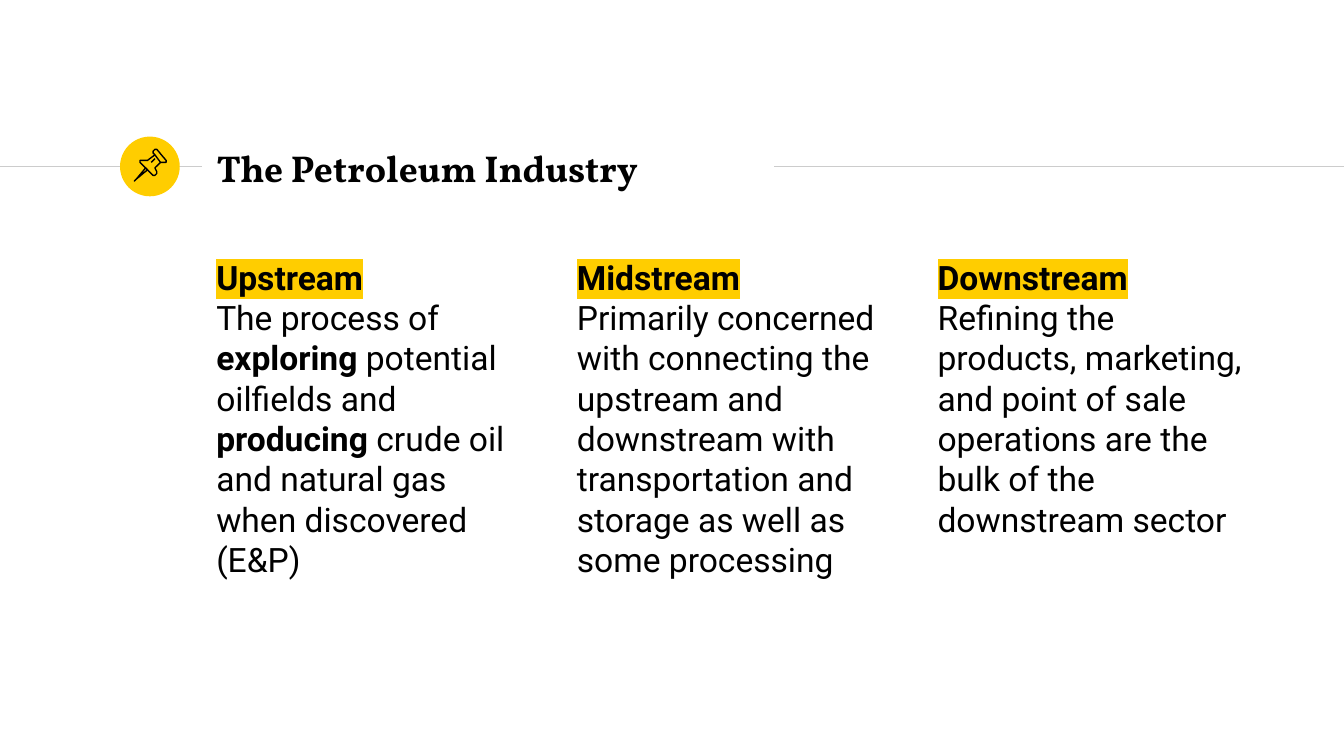
"""Build a slide on the three sectors of the petroleum industry."""
from lxml.etree import SubElement
from pptx import Presentation
from pptx.dml.color import RGBColor
from pptx.enum.shapes import MSO_CONNECTOR as Connector, MSO_SHAPE as Shape
from pptx.enum.text import MSO_ANCHOR as Anchor
from pptx.oxml.ns import qn
from pptx.util import Pt

YELLOW, BLACK, GRAY = "FFCD00", "000000", "CCCCCC"


def color(value):
    return RGBColor.from_string(value)


def add_text(paragraph, text, size=18, font="Roboto", bold=False, highlight=None):
    run = paragraph.add_run()
    run.text = text
    run.font.size = Pt(size)
    run.font.bold = bold
    run.font.color.rgb = color(BLACK)
    if highlight:
        mark = SubElement(run.font._element, qn("a:highlight"))
        SubElement(mark, qn("a:srgbClr"), val=highlight)
    run.font.name = font


presentation = Presentation()
presentation.slide_width, presentation.slide_height = Pt(720), Pt(405)
slide = presentation.slides.add_slide(presentation.slide_layouts[6])

for start, end in [(0, 108), (414.7, 720)]:
    line = slide.shapes.add_connector(Connector.STRAIGHT, Pt(start), Pt(89.2), Pt(end), Pt(89.2))
    line.line.color.rgb = color(GRAY)
    line.line.width = Pt(0.75)
    SubElement(line._element.spPr, qn("a:effectLst"))

badge = slide.shapes.add_shape(Shape.OVAL, Pt(64.3), Pt(73.2), Pt(32), Pt(32))
badge.shadow.inherit = False
badge.fill.solid()
badge.fill.fore_color.rgb = color(YELLOW)
badge.line.fill.background()

needle = [(77.8, 90), (72.7, 96.5), (72, 97.2), (73.4, 96.5), (79.2, 91.4)]
cap = [(82.6, 82.8), (86.4, 87), (87.5, 87.3), (88.8, 86.8), (89.2, 85.8), (83.6, 80.5),
       (82.8, 80.5), (82, 81.4), (82, 82.1)]
body = [(82.6, 82.8), (79.2, 85.8), (77, 85.5), (75.6, 85.8), (74.9, 86.4), (74.9, 87),
        (82.1, 94.3), (82.8, 94.3), (83.5, 93.2), (83.7, 91.5), (83.4, 90), (86.4, 87)]
glint = [(80.6, 87), (82.8, 85)]
for points, closed in [(needle, True), (cap, True), (body, False), (glint, False)]:
    builder = slide.shapes.build_freeform(*points[0], scale=Pt(1))
    builder.add_line_segments(points[1:], close=closed)
    pin_part = builder.convert_to_shape()
    pin_part.shadow.inherit = False
    pin_part.fill.background()
    pin_part.line.color.rgb = color(BLACK)
    pin_part.line.width = Pt(0.75)

title = [[("The Petroleum Industry", {"size": 20, "font": "Vollkorn", "bold": True})]]
sectors = [
    ("Upstream", [
        [("The process of ", {}), ("exploring", {"bold": True}),
         (" potential oilfields and ", {}), ("producing ", {"bold": True}),
         ("crude oil and natural gas when discovered", {})],
        [("(E&P)", {})],
    ]),
    ("Midstream", [[("Primarily concerned with connecting the upstream and downstream with "
                     "transportation and storage as well as some processing", {})]]),
    ("Downstream", [[("Refining the products, marketing, and point of sale operations are "
                      "the bulk of the downstream sector", {})]]),
]
boxes = [(109, 72.6, 305.6, 34.4, Anchor.MIDDLE, title)]
for index, (heading, details) in enumerate(sectors):
    heading_runs = [(heading, {"bold": True, "highlight": YELLOW})]
    boxes.append((108.8 + index * 193.2, 130.3, 183.8, 245.4, Anchor.TOP,
                  [heading_runs] + details))

for left, top, width, height, anchor, paragraphs in boxes:
    frame = slide.shapes.add_textbox(Pt(left), Pt(top), Pt(width), Pt(height)).text_frame
    frame.word_wrap = True
    frame.vertical_anchor = anchor
    frame.margin_left = frame.margin_right = frame.margin_top = frame.margin_bottom = Pt(7.2)
    for index, runs in enumerate(paragraphs):
        paragraph = frame.add_paragraph() if index else frame.paragraphs[0]
        for text, style in runs:
            add_text(paragraph, text, **style)

presentation.save("out.pptx")
